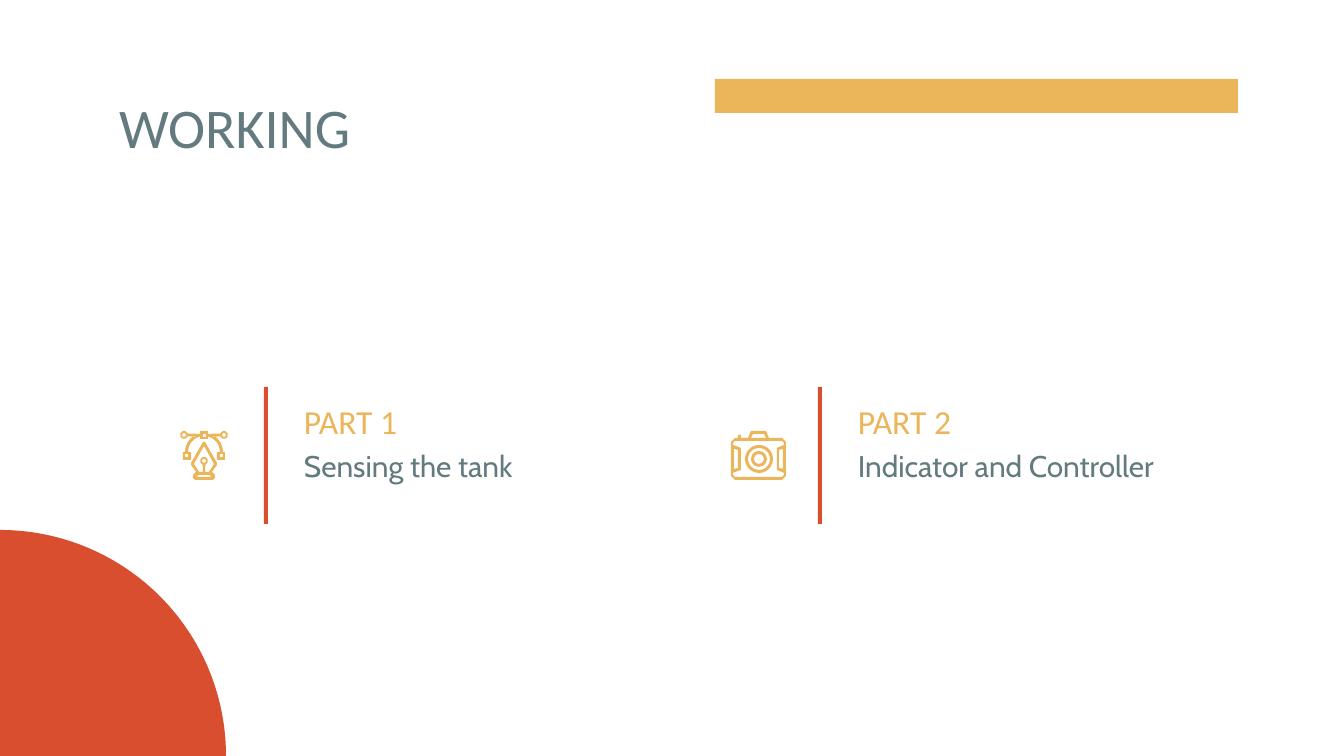
import math
from dataclasses import dataclass

import pptx
import pptx.dml.color
import pptx.enum.shapes
import pptx.enum.text
import pptx.util

EMU_PER_PX = 914400 / 134.4
SLIDE_WIDTH, SLIDE_HEIGHT = 1344, 756
SIDE_INSET, TOP_INSET = 13, 14
PEN_CENTER = 204
STROKE = 3

Points = list[tuple[float, float]]
PRESET = pptx.enum.shapes.MSO_SHAPE


@dataclass(frozen=True)
class Theme:
    gold: str = "EBB55A"
    red: str = "D84E2E"
    slate: str = "637B7F"
    heading_font: str = "Calibri"
    body_font: str = "Cabin"
    title_size: int = 30
    heading_size: int = 18
    body_size: int = 16


@dataclass(frozen=True)
class Box:
    left: int
    top: int
    width: int
    height: int


@dataclass(frozen=True)
class Ring:
    x: int
    y: int
    radius: int


@dataclass(frozen=True)
class Icon:
    rings: list[Ring]
    outlines: list[list[Points]]


@dataclass(frozen=True)
class Part:
    bar_left: int
    heading: str
    description: str
    icon: Icon


THEME = Theme()


def emu(px: float) -> pptx.util.Emu:
    return pptx.util.Emu(round(px * EMU_PER_PX))


def rgb(color: str) -> pptx.dml.color.RGBColor:
    return pptx.dml.color.RGBColor.from_string(color)


def arc(x: int, y: int, radius: int, start: int, end: int) -> Points:
    steps = max(4, abs(end - start) // 45)
    angles = [math.radians(start + (end - start) * i / steps) for i in range(steps + 1)]
    return [(x + radius * math.cos(a), y + radius * math.sin(a)) for a in angles]


def square(left: int, top: int, side: int) -> Points:
    return [(left, top), (left + side, top), (left + side, top + side), (left, top + side)]


def mirrored(points: Points, center: int) -> Points:
    return [(2 * center - x, y) for x, y in reversed(points)]


def symmetric(left_half: Points, center: int) -> Points:
    return left_half + mirrored(left_half, center)


def paint(shape, color: str) -> None:
    shape.shadow.inherit = False
    shape.fill.solid()
    shape.fill.fore_color.rgb = rgb(color)
    shape.line.fill.background()


def draw_preset(shapes, preset: PRESET, box: Box, color: str):
    shape = shapes.add_shape(
        preset, emu(box.left), emu(box.top), emu(box.width), emu(box.height)
    )
    paint(shape, color)
    return shape


def draw_ring(shapes, ring: Ring, color: str) -> None:
    side = 2 * ring.radius
    box = Box(ring.x - ring.radius, ring.y - ring.radius, side, side)
    shape = draw_preset(shapes, PRESET.DONUT, box, color)
    shape.adjustments[0] = STROKE / side


def draw_outline(shapes, contours: list[Points], color: str) -> None:
    scaled = [[(emu(x), emu(y)) for x, y in contour] for contour in contours]
    builder = shapes.build_freeform(*scaled[0][0])
    for index, contour in enumerate(scaled):
        if index:
            builder.move_to(*contour[0])
        builder.add_line_segments(contour[1:], close=True)
    paint(builder.convert_to_shape(), color)


def draw_text(shapes, text: str, box: Box, *, font: str, size: int, color: str) -> None:
    shape = shapes.add_textbox(emu(box.left), emu(box.top), emu(box.width), emu(box.height))
    frame = shape.text_frame
    frame.word_wrap = True
    frame.vertical_anchor = pptx.enum.text.MSO_ANCHOR.TOP
    frame.margin_left = frame.margin_right = emu(SIDE_INSET)
    frame.margin_top = frame.margin_bottom = emu(TOP_INSET)
    run = frame.paragraphs[0].add_run()
    run.text = text
    run.font.name = font
    run.font.size = pptx.util.Pt(size)
    run.font.color.rgb = rgb(color)


def pen_icon() -> Icon:
    nib = [(203, 442), (191, 463), (191, 465), (196, 472), (193, 475), (193, 478), (195, 480)]
    nib_opening = (
        [(204, 446), (214, 464), (209, 472), (205, 472)]
        + arc(204, 461, 4, 70, -250)
        + [(203, 472), (199, 472), (194, 464)]
    )
    base_opening = [(198, 475), (210, 475), (211, 477), (197, 477)]
    frame = (
        [(200, 431), (200, 434)]
        + arc(184, 435, 4, -20, -340)
        + [(195, 437)]
        + arc(204, 452, 19, 239, 180)
        + [(183, 452), (183, 460), (191, 460), (191, 452)]
        + arc(204, 452, 16, 180, 256)
        + [(200, 439)]
    )
    handles = [arc(184, 435, 2, 0, 315), square(185, 454, 3)]
    return Icon([], [
        [symmetric(nib, PEN_CENTER), nib_opening, arc(204, 461, 2, 0, 315), base_opening],
        [symmetric(frame, PEN_CENTER), square(203, 434, 3), *handles,
         *(mirrored(handle, PEN_CENTER) for handle in handles)],
    ])


def camera_icon() -> Icon:
    body = [
        (751, 431), (766, 431), (769, 438), (782, 438), (786, 442), (786, 476),
        (782, 480), (735, 480), (731, 476), (731, 442), (735, 438), (738, 438),
        (738, 435), (741, 435), (741, 438), (748, 438),
    ]
    viewfinder = [(753, 434), (764, 434), (766, 438), (751, 438)]
    opening = [
        (735, 441), (782, 441), (784, 443), (784, 445), (777, 448), (777, 470),
        (784, 473), (784, 475), (782, 477), (735, 477), (733, 475), (733, 473),
        (741, 470), (741, 448), (733, 445), (733, 443),
    ]
    left_grip = [(734, 449), (738, 450), (738, 468), (734, 469)]
    right_grip = [(783, 449), (779, 450), (779, 468), (783, 469)]
    return Icon(
        [Ring(759, 459, 14), Ring(759, 459, 8)],
        [[body, viewfinder, opening, left_grip, right_grip]],
    )


def draw_part(shapes, part: Part) -> None:
    text_left = part.bar_left + 27
    draw_text(shapes, part.description, Box(text_left, 434, 336, 85),
              font=THEME.body_font, size=THEME.body_size, color=THEME.slate)
    draw_preset(shapes, PRESET.RECTANGLE, Box(part.bar_left, 387, 4, 137), THEME.red)
    draw_text(shapes, part.heading, Box(text_left, 387, 336, 50),
              font=THEME.heading_font, size=THEME.heading_size, color=THEME.gold)
    group = shapes.add_group_shape()
    for ring in part.icon.rings:
        draw_ring(group.shapes, ring, THEME.gold)
    for contours in part.icon.outlines:
        draw_outline(group.shapes, contours, THEME.gold)


def main() -> None:
    presentation = pptx.Presentation()
    presentation.slide_width = emu(SLIDE_WIDTH)
    presentation.slide_height = emu(SLIDE_HEIGHT)
    slide = presentation.slides.add_slide(presentation.slide_layouts[6])
    shapes = slide.shapes

    draw_preset(shapes, PRESET.RECTANGLE, Box(715, 79, 523, 34), THEME.gold)
    corner = draw_preset(shapes, PRESET.PIE_WEDGE, Box(0, 530, 226, 226), THEME.red)
    corner.rotation = 90
    draw_text(shapes, "WORKING", Box(106, 79, 566, 85),
              font=THEME.heading_font, size=THEME.title_size, color=THEME.slate)

    parts = [
        Part(264, "PART 1", "Sensing the tank", pen_icon()),
        Part(818, "PART 2", "Indicator and Controller", camera_icon()),
    ]
    for part in parts:
        draw_part(shapes, part)

    presentation.save("out.pptx")


if __name__ == "__main__":
    main()
